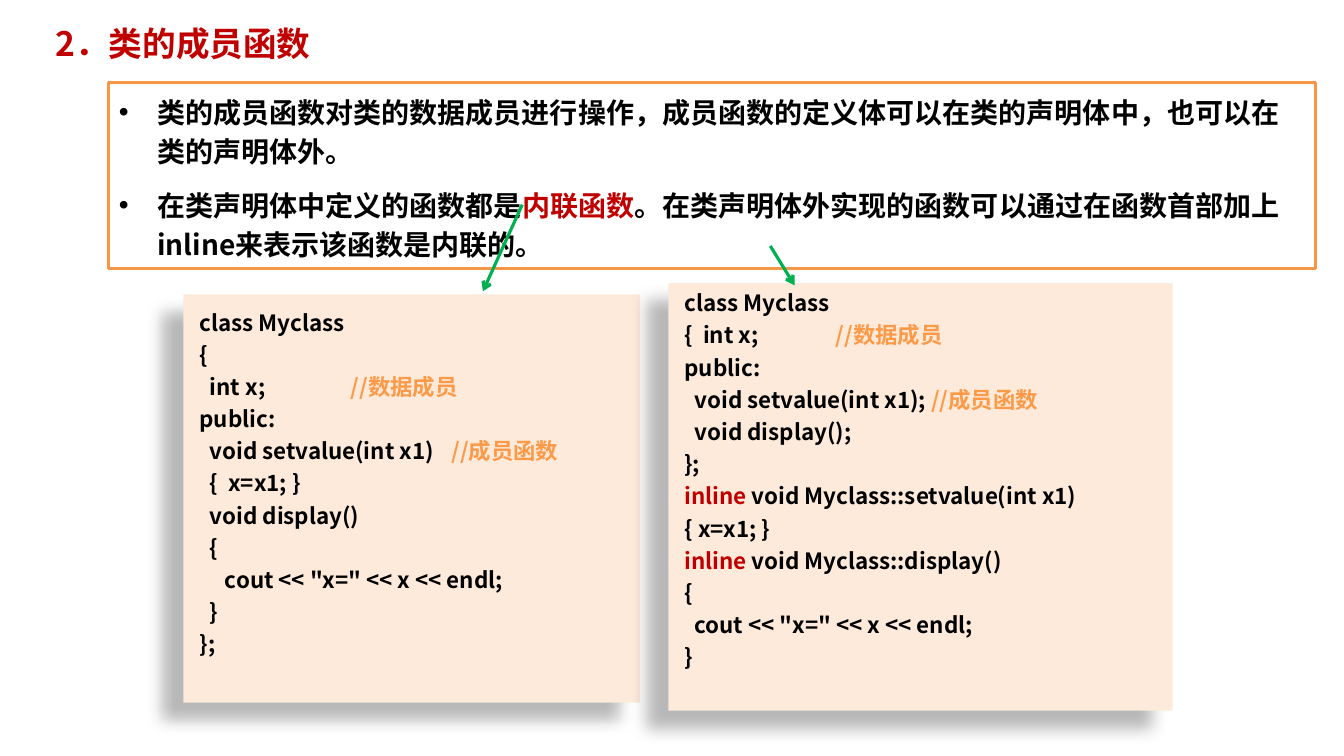
"""Build the slide on class member functions, with two code panels."""
import dataclasses

import lxml.etree
import pptx
import pptx.dml.color
import pptx.enum.shapes
import pptx.enum.text
import pptx.oxml.ns
import pptx.util

TITLE = ["2．类的成员函数"]
POINTS = [
    "类的成员函数对类的数据成员进行操作，成员函数的定义体可以在类的声明体中，也可以在类的声明体外。",
    [("在类声明体中定义的函数都是", "text"), ("内联函数", "key"),
     ("。在类声明体外实现的函数可以通过在函数首部加上inline来表示该函数是内联的。", "text")],
]
CODE_INSIDE = [
    "class Myclass",
    "{",
    [("  int x;\t\t", "text"), ("//数据成员", "note")],
    "public:",
    [("  void setvalue(int x1)\t", "text"), ("//成员函数", "note")],
    "  {  x=x1; }",
    "  void display()",
    "  {",
    '     cout << "x=" << x << endl;',
    "  }",
    "};",
]
CODE_OUTSIDE = [
    "class Myclass",
    [("{  int x;\t\t", "text"), ("//数据成员", "note")],
    "public:",
    [("  void setvalue(int x1); ", "text"), ("//成员函数", "note")],
    "  void display();",
    "};",
    [("inline ", "key"), ("void Myclass::setvalue(int x1)", "text")],
    "{ x=x1; }",
    [("inline ", "key"), ("void Myclass::display()", "text")],
    "{",
    '  cout << "x=" << x << endl;',
    "}",
]
PANELS = [
    {"box": (182, 292, 453, 405), "inset": 20, "code": CODE_INSIDE,
     "arrow": (518, 203, 479, 289)},
    {"box": (663, 281, 500, 424), "inset": 12, "code": CODE_OUTSIDE,
     "arrow": (764, 244, 788, 283)},
]


@dataclasses.dataclass(frozen=True)
class Theme:
    font: str = "Noto Sans CJK SC"
    text: str = "000000"
    key: str = "C00000"
    note: str = "FC9A48"
    paper: str = "FFFFFF"
    frame: str = "F79646"
    panel: str = "FDEADA"
    arrow: str = "00B050"
    title_size: int = 24
    body_size: int = 20
    code_size: int = 16


THEME = Theme()
EMU_PER_PX = 9144
Pt = pptx.util.Pt
ANCHOR = pptx.enum.text.MSO_ANCHOR


def px(n):
    return pptx.util.Emu(n * EMU_PER_PX)


def rgb(name):
    return pptx.dml.color.RGBColor.from_string(getattr(THEME, name))


def sub(parent, tag, **attrs):
    el = lxml.etree.SubElement(parent, pptx.oxml.ns.qn(tag))
    for name, value in attrs.items():
        el.set(name, str(value))
    return el


def place(sp, box):
    sp.left, sp.top, sp.width, sp.height = map(px, box)


def write(sp, lines, size, spacing, before=0, color="text", anchor=ANCHOR.MIDDLE,
          insets=(10, 5, 10, 5), hanging=0):
    tf = sp.text_frame
    tf.word_wrap = True
    tf.auto_size = pptx.enum.text.MSO_AUTO_SIZE.NONE
    tf.vertical_anchor = anchor
    tf.margin_left, tf.margin_top, tf.margin_right, tf.margin_bottom = map(px, insets)
    for i, line in enumerate(lines):
        p = tf.add_paragraph() if i else tf.paragraphs[0]
        if hanging:
            pPr = p._p.get_or_add_pPr()
            pPr.set("marL", str(px(hanging)))
            pPr.set("indent", str(-px(hanging)))
            sub(pPr, "a:buFont", typeface="Arial")
            sub(pPr, "a:buChar", char="•")
        p.alignment = pptx.enum.text.PP_ALIGN.LEFT
        p.line_spacing = spacing
        p.space_before = Pt(before if i else 0)
        p.space_after = Pt(0)
        for text, tone in [(line, color)] if isinstance(line, str) else line:
            r = p.add_run()
            r.text = text
            r.font.size = Pt(size)
            r.font.bold = True
            r.font.color.rgb = rgb(tone)
            r.font.name = THEME.font
            sub(r._r.get_or_add_rPr(), "a:ea", typeface=THEME.font)


def add_panel(slide, box, inset, code):
    sp = slide.shapes.add_shape(pptx.enum.shapes.MSO_SHAPE.RECTANGLE, *map(px, box))
    sp.fill.solid()
    sp.fill.fore_color.rgb = rgb("panel")
    sp.line.fill.background()
    sp.shadow.inherit = False
    effects = sp._element.spPr.find(pptx.oxml.ns.qn("a:effectLst"))
    shadow = sub(effects, "a:outerShdw", blurRad=Pt(11.8), dist=Pt(19.7),
                 dir=141 * 60000, algn="ctr", rotWithShape=0)
    sub(sub(shadow, "a:srgbClr", val=THEME.text), "a:alpha", val=28000)
    write(sp, code, THEME.code_size, Pt(15), before=8, anchor=ANCHOR.TOP,
          insets=(16, inset, 10, inset))


def add_arrow(slide, ends):
    line = slide.shapes.add_connector(
        pptx.enum.shapes.MSO_CONNECTOR.STRAIGHT, *map(px, ends))
    line.line.color.rgb = rgb("arrow")
    line.line.width = Pt(2.25)
    sub(line.line._get_or_add_ln(), "a:tailEnd", type="arrow")
    sub(line._element.spPr, "a:effectLst")


def main():
    prs = pptx.Presentation()
    prs.slide_width, prs.slide_height = px(1333), px(750)
    slide = prs.slides.add_slide(prs.slide_layouts[1])

    title, body = slide.placeholders
    place(title, (45, 25, 394, 42))
    write(title, TITLE, THEME.title_size, 0.8, color="key")

    place(body, (108, 82, 1197, 184))
    body.fill.solid()
    body.fill.fore_color.rgb = rgb("paper")
    body.line.color.rgb = rgb("frame")
    body.line.width = Pt(2)
    write(body, POINTS, THEME.body_size, Pt(28), before=10, hanging=38)

    for panel in PANELS:
        add_panel(slide, panel["box"], panel["inset"], panel["code"])
        add_arrow(slide, panel["arrow"])
    prs.save("out.pptx")


if __name__ == "__main__":
    main()
